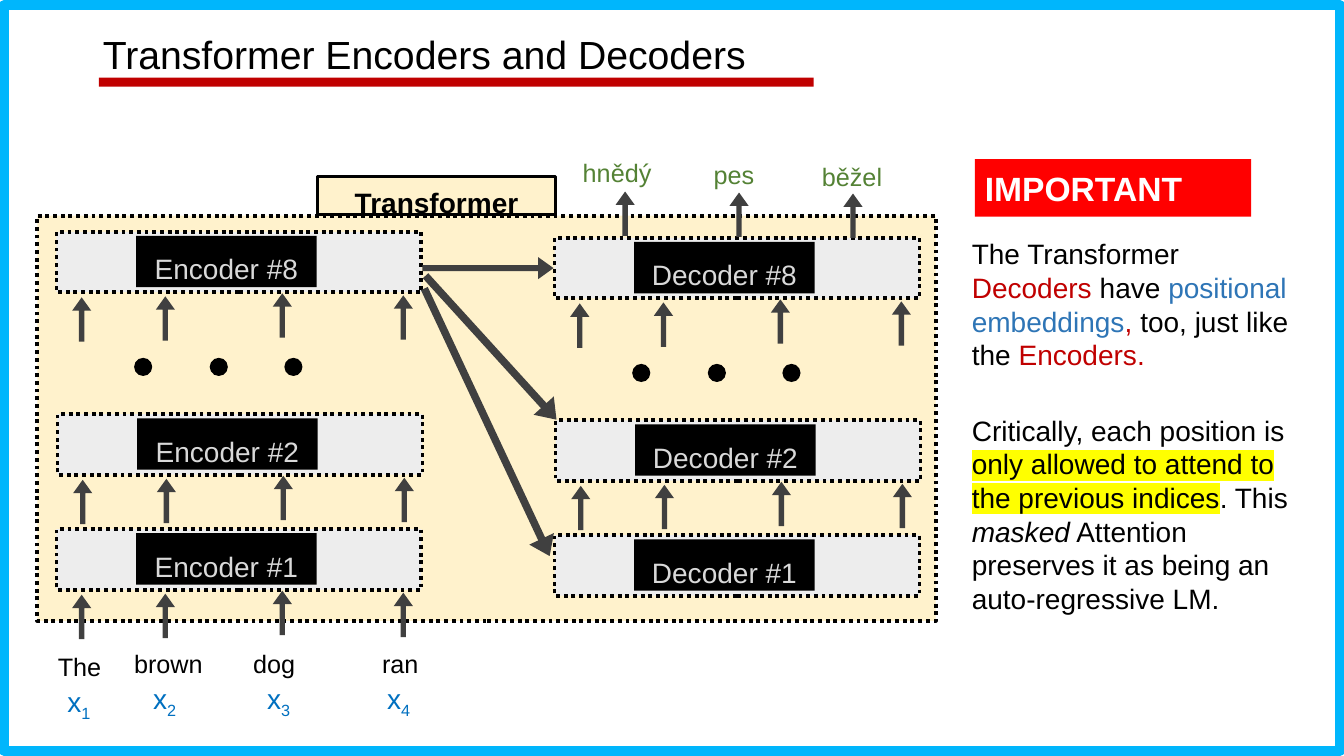
import pptx
import pptx.dml.color
import pptx.enum.dml
import pptx.enum.shapes
import pptx.enum.text
import pptx.oxml.ns
import pptx.util
from lxml import etree

Inches = pptx.util.Inches
Pt = pptx.util.Pt
FORM = pptx.enum.shapes.MSO_SHAPE
ALIGN = pptx.enum.text.PP_ALIGN
ANCHOR = pptx.enum.text.MSO_ANCHOR
INK, CREAM, RED, BLUE = "000000", "FFF2CC", "C00000", "2E75B6"
LANES = [(0.25, 0.87), (1.08, 0.86), (2.24, 0.83), (3.44, 0.85)]


def tint(code):
    return pptx.dml.color.RGBColor.from_string(code)


def mark(run, color):
    qn = pptx.oxml.ns.qn
    glow = etree.SubElement(run.font._rPr, qn("a:highlight"))
    etree.SubElement(glow, qn("a:srgbClr")).set("val", color)


def write(shape, text, size=20, color=INK, bold=False, align=ALIGN.LEFT,
          space=None, before=0, anchor=ANCHOR.TOP, top=0.05):
    frame = shape.text_frame
    frame.word_wrap = True
    frame.auto_size = pptx.enum.text.MSO_AUTO_SIZE.NONE
    frame.vertical_anchor = anchor
    frame.margin_top = Inches(top)
    lines = [[(text, {})]] if isinstance(text, str) else text
    for index, line in enumerate(lines):
        para = frame.add_paragraph() if index else frame.paragraphs[0]
        para.alignment = align
        para.space_before = Pt(before if index else 0)
        if space:
            para.line_spacing = space
        for words, style in line:
            run = para.add_run()
            run.text = words
            run.font.size = Pt(size)
            run.font.bold = bold
            run.font.italic = style.get("italic", False)
            run.font.color.rgb = tint(style.get("color", color))
            if "glow" in style:
                mark(run, style["glow"])
            run.font.name = "Arial"
            if "base" in style:
                run.font._rPr.set("baseline", style["base"])


def label(slide, x, y, w, h, text, **style):
    area = slide.shapes.add_textbox(Inches(x), Inches(y), Inches(w), Inches(h))
    write(area, text, **style)


def draw(slide, form, x, y, w, h, fill=None, line=None, width=1, dots=False):
    shape = slide.shapes.add_shape(form, Inches(x), Inches(y), Inches(w), Inches(h))
    shape.shadow.inherit = False
    if fill:
        shape.fill.solid()
        shape.fill.fore_color.rgb = tint(fill)
    else:
        shape.fill.background()
    if line:
        shape.line.color.rgb = tint(line)
        shape.line.width = Pt(width)
        if dots:
            shape.line.dash_style = pptx.enum.dml.MSO_LINE.ROUND_DOT
    else:
        shape.line.fill.background()
    return shape


def arrow(slide, x, y, w=0.44, h=0.19, turn=270):
    shape = draw(slide, FORM.RIGHT_ARROW, x - w / 2, y - h / 2, w, h, "404040")
    shape.adjustments[0] = 0.276
    shape.adjustments[1] = 0.696
    shape.rotation = turn


def header(slide, x, y, w, h):
    draw(slide, FORM.RECTANGLE, 0.04, 0.05, 13.25, 7.4, line="00B6FC", width=7)
    draw(slide, FORM.RECTANGLE, x + 0.06, y + 0.47, 7.09, 0.09, RED)
    title = slide.shapes.title
    title.left, title.top = Inches(x), Inches(y)
    title.width, title.height = Inches(w), Inches(h)
    write(title, "Transformer Encoders and Decoders", size=28, space=0.9)


def layer(slide, x, y, name, lanes):
    draw(slide, FORM.RECTANGLE, x, y, 3.62, 0.6, "EDEDED", INK, 2.75, True)
    plate = draw(slide, FORM.RECTANGLE, x + 0.79, y + 0.04, 1.79, 0.51, INK)
    write(plate, name, color="D9D9D9", align=ALIGN.CENTER, space=1.2, top=0.09)
    for dx, dy in lanes:
        arrow(slide, x + dx, y + dy)


def stack(slide, x, y, kind, base):
    layer(slide, x, y, f"{kind} #8", LANES)
    layer(slide, x + 0.01, y + 1.81, f"{kind} #2", LANES)
    layer(slide, x, y + 2.95, f"{kind} #1", base)
    for dx in (0.86, 1.61, 2.35):
        draw(slide, FORM.OVAL, x + dx - 0.09, y + 1.25, 0.18, 0.18, INK)


def inputs(slide, x, y):
    tokens = [("The", 0.23, 0.03), ("brown", 1.11, 0), ("dog", 2.16, 0), ("ran", 3.41, 0)]
    marks = [0.23, 1.08, 2.21, 3.4]
    for count, ((word, dx, dy), spot) in enumerate(zip(tokens, marks), 1):
        label(slide, x + dx - 0.68, y + dy, 1.36, 0.55, word,
              size=18, align=ALIGN.CENTER, space=1.2)
        sign = [[("x", {}), (str(count), {"base": "-25000"})]]
        label(slide, x + spot - 0.22, y + 0.39 + dy, 0.45, 0.44, sign, color="0070C0")


def outputs(slide, x, y):
    words = [("hnědý", 0.46), ("pes", 1.62), ("běžel", 2.79)]
    for index, (word, dx) in enumerate(words):
        label(slide, x + dx - 0.46, y + 0.02 * index, 0.92, 0.55, word,
              size=18, color="548235", align=ALIGN.CENTER, space=1.2)
        arrow(slide, x + 0.54 + 1.13 * index, y + 0.67 + 0.01 * index)


def model(slide, x, y, w, h):
    draw(slide, FORM.RECTANGLE, x, y, w, h, CREAM, INK, 2.75, True)
    stack(slide, x + 0.19, y + 0.16, "Encoder", LANES)
    stack(slide, x + 5.13, y + 0.22, "Decoder", [])
    inputs(slide, x + 0.19, y + 4.18)
    outputs(slide, x + 5.29, y - 0.69)
    tab = draw(slide, FORM.RECTANGLE, x + 2.78, y - 0.39, 2.36, 0.38, CREAM, INK, 1.75)
    tab.text_frame.margin_bottom = 0
    write(tab, "Transformer", bold=True, align=ALIGN.CENTER, space=1.2, top=0.02)
    arrow(slide, x + 4.46, y + 2.05, 2.93, 0.27, 64.9)
    arrow(slide, x + 4.5, y + 1.31, 1.93, 0.27, 47.7)
    arrow(slide, x + 4.47, y + 0.52, 1.3, 0.22, 0)


def notice(slide, x, y, w, h):
    badge = draw(slide, FORM.RECTANGLE, x + 0.13, y, 2.74, 0.57, "FF0000")
    write(badge, "IMPORTANT", size=24, color="FFFFFF", bold=True, anchor=ANCHOR.MIDDLE)
    text = [
        [("The Transformer", {}), (" Decoders ", {"color": RED}), ("have ", {}),
         ("positional embeddings", {"color": BLUE}), (", ", {"color": RED}),
         ("too, just like the", {}), (" Encoders.", {"color": RED})],
        [("Critically, each position is ", {}),
         ("only allowed to attend to the previous indices", {"glow": "FFFF00"}),
         (". This ", {}), ("masked", {"italic": True}),
         (" Attention preserves it as being an auto-regressive LM.", {})],
    ]
    label(slide, x, y + 0.72, w, h - 0.72, text, before=30)


def main():
    deck = pptx.Presentation()
    deck.slide_width, deck.slide_height = Inches(13.33), Inches(7.5)
    slide = deck.slides.add_slide(deck.slide_layouts[5])
    header(slide, 0.92, 0.3, 9.65, 0.68)
    model(slide, 0.37, 2.14, 8.91, 4.02)
    notice(slide, 9.54, 1.58, 3.47, 4.61)
    deck.save("out.pptx")


if __name__ == "__main__":
    main()
